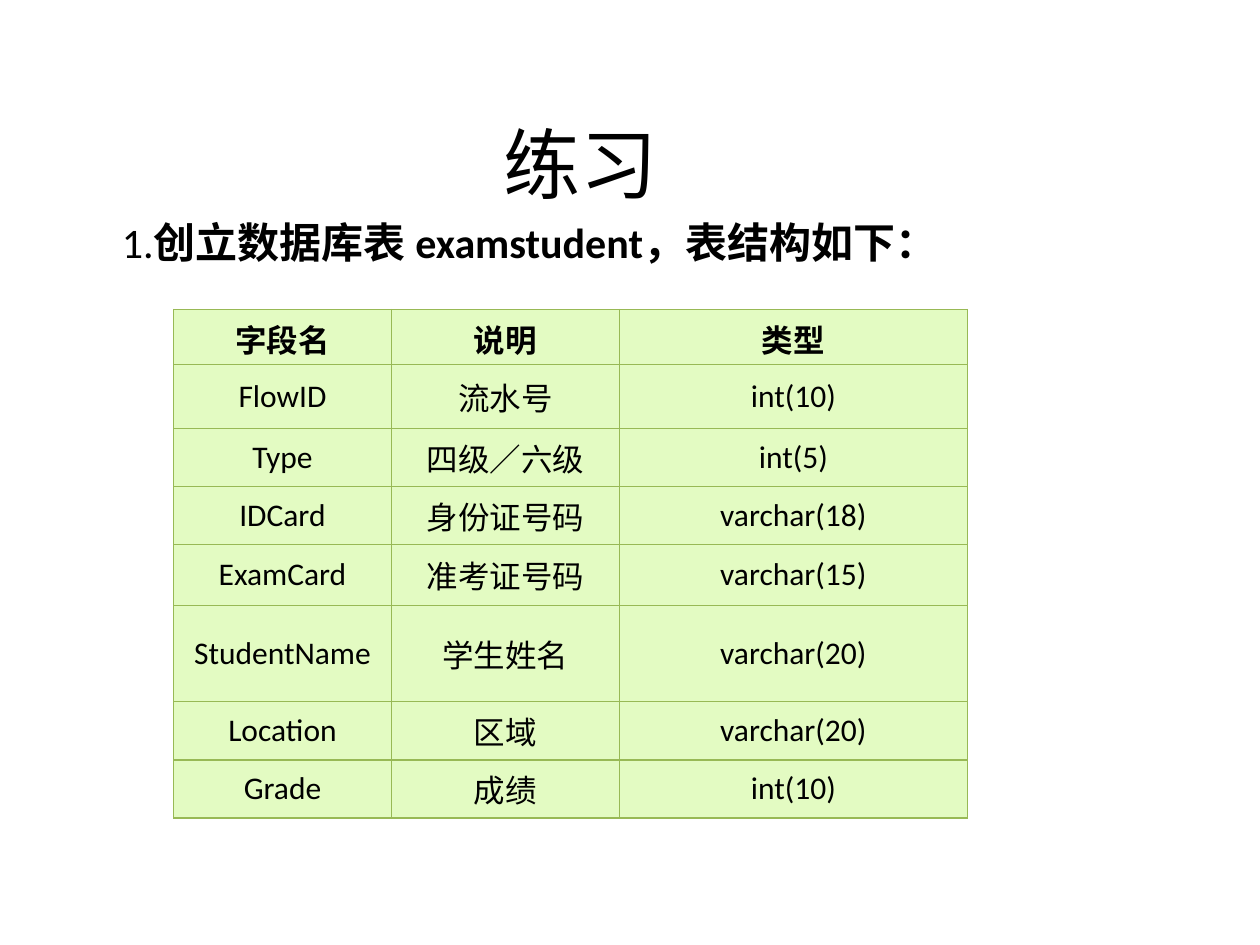
"""Build the exercise slide that defines the examstudent table."""
from lxml import etree
from pptx import Presentation
from pptx.dml.color import RGBColor
from pptx.enum.text import MSO_ANCHOR, PP_ALIGN
from pptx.oxml.ns import qn
from pptx.util import Cm, Pt

CENTER, LEFT = PP_ALIGN.CENTER, PP_ALIGN.LEFT
MIDDLE, TOP = MSO_ANCHOR.MIDDLE, MSO_ANCHOR.TOP

TEXTS = [
    {"box": (7.21, 1.93, 8.99, 2.72), "anchor": MIDDLE, "align": CENTER,
     "size": 44, "runs": [("练习", False)]},
    {"box": (2.21, 4.24, 19, 1.27), "anchor": TOP, "align": LEFT, "size": 24,
     "runs": [("1.", False), ("创立数据库表 examstudent，表结构如下：", True)]},
]
FIELDS = [
    ("字段名", "说明", "类型"),
    ("FlowID", "流水号", "int(10)"),
    ("Type", "四级／六级", "int(5)"),
    ("IDCard", "身份证号码", "varchar(18)"),
    ("ExamCard", "准考证号码", "varchar(15)"),
    ("StudentName", "学生姓名", "varchar(20)"),
    ("Location", "区域", "varchar(20)"),
    ("Grade", "成绩", "int(10)"),
]
TABLE_LEFT, TABLE_TOP = 3.5, 6.24
COLUMN_WIDTHS = [4.39, 4.6, 7.01]
ROW_HEIGHTS = [1.1, 1.3, 1.17, 1.17, 1.22, 1.95, 1.17, 1.17]
FILL, BORDER, TEXT = "E3FBC2", "98B955", "000000"
HANGING = Cm(0.95)


def color(value):
    return RGBColor.from_string(value)


def add_run(paragraph, text, size, bold):
    run = paragraph.add_run()
    run.text = text
    for name, value in {"name": "Calibri", "size": Pt(size), "bold": bold}.items():
        setattr(run.font, name, value)
    run.font.color.rgb = color(TEXT)


def add_text(slide, item):
    frame = slide.shapes.add_textbox(*map(Cm, item["box"])).text_frame
    frame.word_wrap = True
    frame.vertical_anchor = item["anchor"]
    paragraph = frame.paragraphs[0]
    paragraph.alignment = item["align"]
    for text, bold in item["runs"]:
        add_run(paragraph, text, item["size"], bold)


def add_borders(cell):
    properties = cell._tc.get_or_add_tcPr()
    for side in ("lnL", "lnR", "lnT", "lnB"):
        line = etree.SubElement(properties, qn(f"a:{side}"), w=str(Pt(0.75)))
        solid = etree.SubElement(line, qn("a:solidFill"))
        etree.SubElement(solid, qn("a:srgbClr"), val=BORDER)


def fill_cell(cell, text, bold):
    add_borders(cell)
    cell.fill.solid()
    cell.fill.fore_color.rgb = color(FILL)
    cell.vertical_anchor = MIDDLE
    paragraph = cell.text_frame.paragraphs[0]
    paragraph.alignment = CENTER
    properties = paragraph._p.get_or_add_pPr()
    properties.set("marL", str(HANGING))
    properties.set("indent", str(-HANGING))
    add_run(paragraph, text, 18, bold)


def add_field_table(slide):
    table = slide.shapes.add_table(
        len(FIELDS), len(COLUMN_WIDTHS), Cm(TABLE_LEFT), Cm(TABLE_TOP),
        Cm(sum(COLUMN_WIDTHS)), Cm(sum(ROW_HEIGHTS))).table
    for column, width in zip(table.columns, COLUMN_WIDTHS):
        column.width = Cm(width)
    for index, (row, height) in enumerate(zip(table.rows, ROW_HEIGHTS)):
        row.height = Cm(height)
        for cell, text in zip(row.cells, FIELDS[index]):
            fill_cell(cell, text, index == 0)


def main():
    presentation = Presentation()
    presentation.slide_width, presentation.slide_height = Cm(25.4), Cm(19.05)
    slide = presentation.slides.add_slide(presentation.slide_layouts[6])
    title, task = TEXTS
    add_text(slide, title)
    add_field_table(slide)
    add_text(slide, task)
    presentation.save("out.pptx")


if __name__ == "__main__":
    main()
